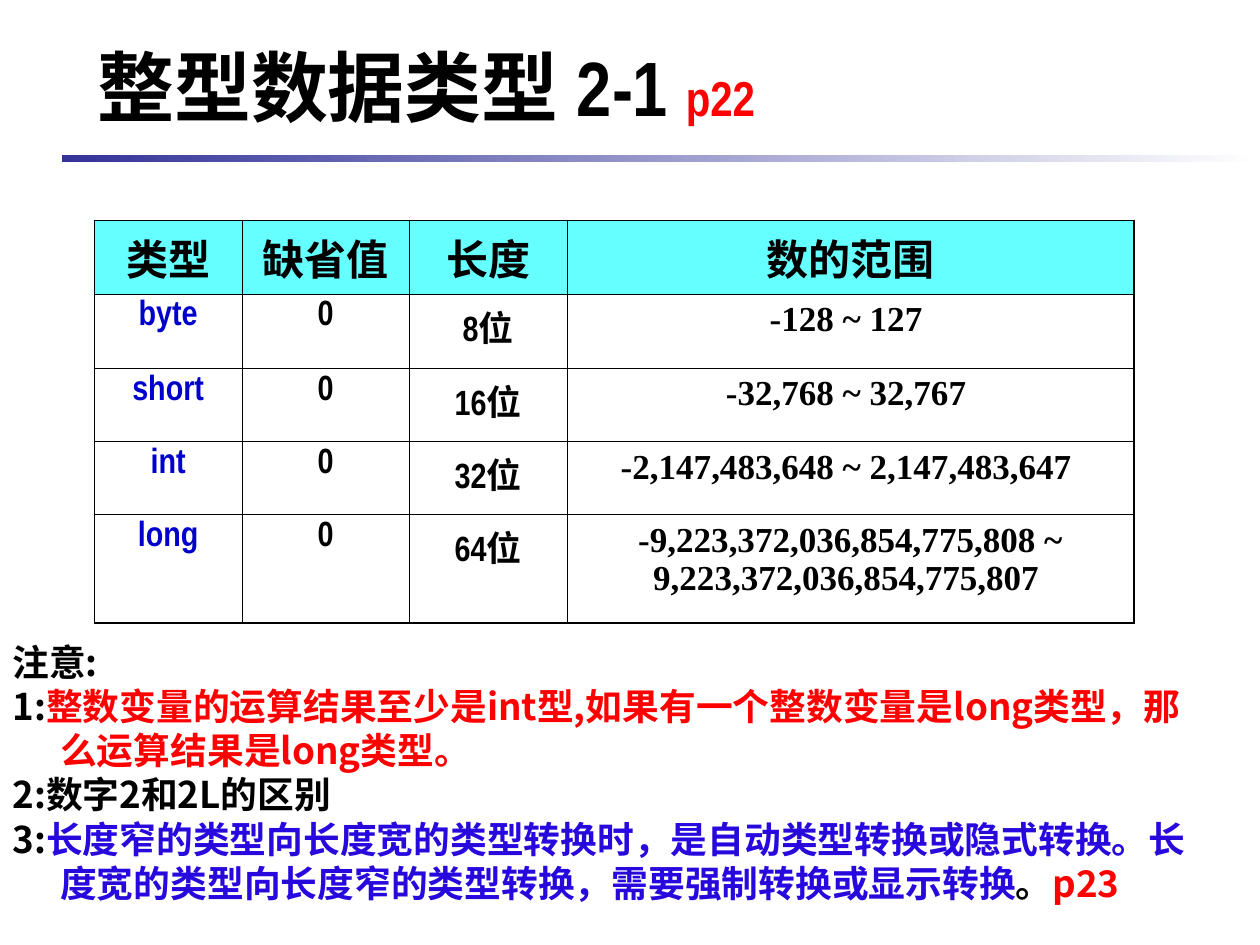
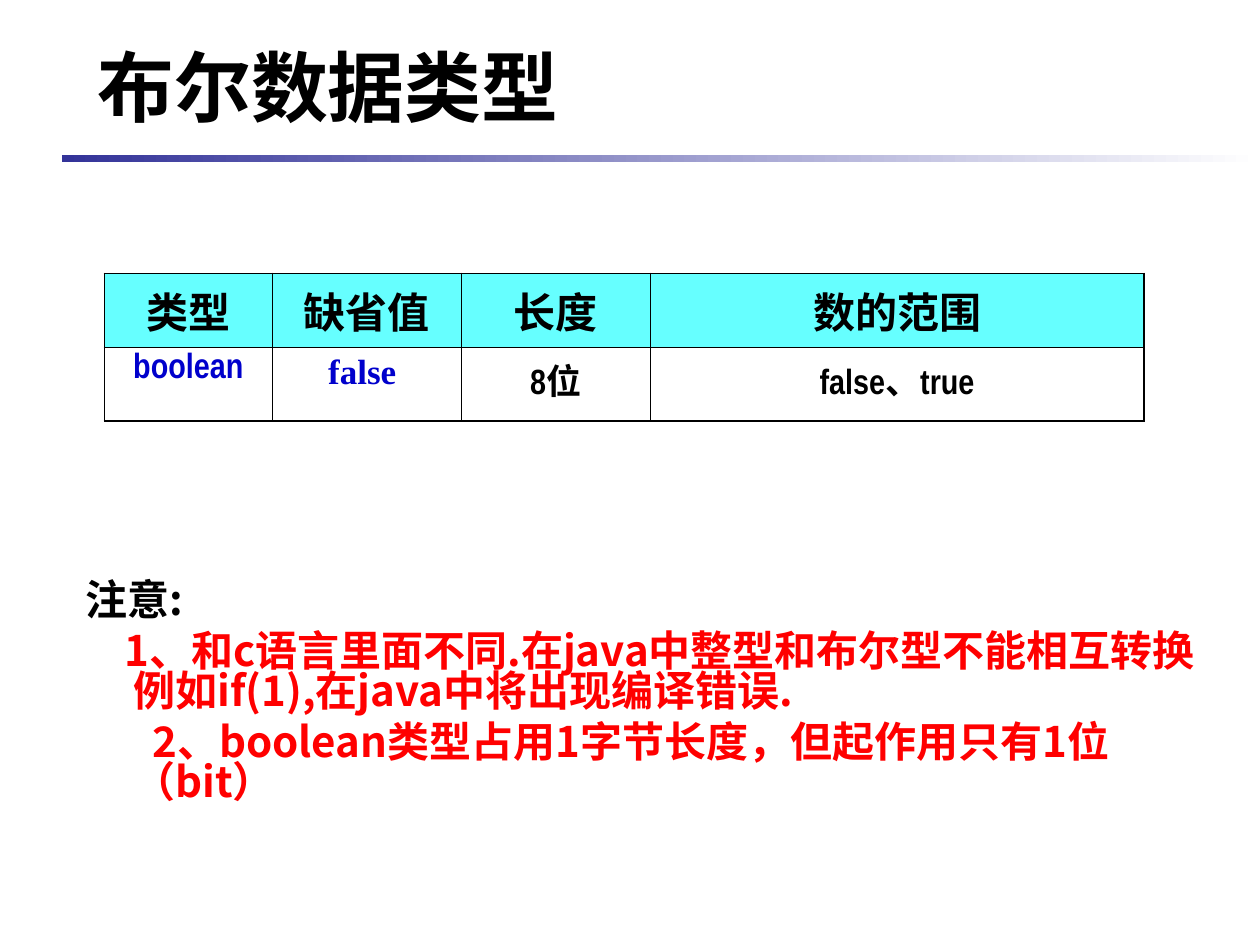
from lxml import etree
from pptx import Presentation
from pptx.dml.color import RGBColor
from pptx.enum.shapes import MSO_SHAPE
from pptx.enum.text import MSO_ANCHOR, MSO_AUTO_SIZE, PP_ALIGN
from pptx.oxml.ns import qn
from pptx.util import Inches, Pt

RECTANGLE = MSO_SHAPE.RECTANGLE
MIDDLE = MSO_ANCHOR.MIDDLE
LEFT, CENTER = PP_ALIGN.LEFT, PP_ALIGN.CENTER
NO_AUTOFIT = MSO_AUTO_SIZE.NONE

NARROW, SERIF, CJK = "Arial Narrow", "Times New Roman", "Noto Sans CJK SC"
BLACK, WHITE, RED = "000000", "FFFFFF", "FF0000"
NAVY, KEYWORD_BLUE, NOTE_BLUE, HEADER_CYAN = "333399", "0000CC", "2709DD", "66FFFF"
TITLE_ONLY = 5
INNER_LINE, OUTER_LINE = 0.45, 1.08
TABLE_HEADER = ["类型", "缺省值", "长度", "数的范围"]


def color(value):
    """Turn a hex string into a colour."""
    return RGBColor.from_string(value)


def add_span(para, text, size=20, font=NARROW, ink=BLACK):
    """Append bold text with the given format to a paragraph."""
    span = para.add_run()
    span.text = text
    span.font.size = Pt(size)
    span.font.bold = True
    span.font.name = font
    span.font.color.rgb = color(ink)
    east_asian = etree.SubElement(span._r.get_or_add_rPr(), qn("a:ea"))
    east_asian.set("typeface", CJK)


def add_page(deck, title_width, *title_spans):
    """Add a slide with its title and the fading band below it."""
    page = deck.slides.add_slide(deck.slide_layouts[TITLE_ONLY])
    title = page.shapes.title
    title.left, title.top = Inches(0.67), Inches(0.21)
    title.width, title.height = Inches(title_width), Inches(0.94)
    frame = title.text_frame
    frame.auto_size = NO_AUTOFIT
    frame.vertical_anchor = MIDDLE
    para = frame.paragraphs[0]
    para.alignment = LEFT
    for text, size, ink in title_spans:
        add_span(para, text, size=size, ink=ink)

    band = page.shapes.add_shape(
        RECTANGLE, Inches(0.49), Inches(1.23), Inches(9.51), Inches(0.06))
    band.shadow.inherit = False
    band.line.fill.background()
    band.fill.gradient()
    band.fill.gradient_angle = 0
    for stop, position, shade in zip(band.fill.gradient_stops, (0, 1), (NAVY, WHITE)):
        stop.position = position
        stop.color.rgb = color(shade)
    return page


def set_borders(cell, widths):
    """Draw the left, right, top and bottom borders of a cell."""
    properties = cell._tc.get_or_add_tcPr()
    for index, (side, width) in enumerate(zip("LRTB", widths)):
        line = etree.Element(qn(f"a:ln{side}"), w=str(Pt(width)))
        fill = etree.SubElement(line, qn("a:solidFill"))
        etree.SubElement(fill, qn("a:srgbClr"), val=BLACK)
        properties.insert(index, line)


def fill_cell(cell, text, is_header=False, **text_format):
    """Write centred text in a cell and set its background."""
    if is_header:
        cell.fill.solid()
        cell.fill.fore_color.rgb = color(HEADER_CYAN)
    else:
        cell.fill.background()
    para = cell.text_frame.paragraphs[0]
    para.alignment = CENTER
    para.space_before = Pt(6 if is_header else 5)
    add_span(para, text, size=24 if is_header else 20, **text_format)


def add_type_table(page, left, top, widths, heights, rows, formats):
    """Add a table of data types with one text format per body column."""
    table = page.shapes.add_table(
        len(heights), len(widths), Inches(left), Inches(top),
        Inches(sum(widths)), Inches(sum(heights))).table
    table.horz_banding = False
    for column, width in zip(table.columns, widths):
        column.width = Inches(width)
    for row, height in zip(table.rows, heights):
        row.height = Inches(height)
    last_row, last_column = len(heights) - 1, len(widths) - 1
    for r, texts in enumerate([TABLE_HEADER] + rows):
        for c, text in enumerate(texts):
            cell = table.cell(r, c)
            fill_cell(cell, text, is_header=r == 0, **(formats[c] if r else {}))
            on_edge = (c == 0, c == last_column, r == 0, r == last_row)
            set_borders(cell, [OUTER_LINE if edge else INNER_LINE for edge in on_edge])


def add_notes_box(page, left, top, width, height, size, notes,
                  line_spacing=None, space_before=0):
    """Add a text box of notes, each a first-line indent and its spans."""
    box = page.shapes.add_textbox(
        Inches(left), Inches(top), Inches(width), Inches(height))
    frame = box.text_frame
    frame.word_wrap = True
    for index, (indent, spans) in enumerate(notes):
        para = frame.add_paragraph() if index else frame.paragraphs[0]
        para.line_spacing = line_spacing
        para.space_before = Pt(space_before)
        properties = para._p.get_or_add_pPr()
        properties.set("marL", str(Inches(0.38)))
        properties.set("indent", str(Inches(indent)))
        for text, ink in spans:
            add_span(para, text, size=size, font=CJK, ink=ink)


def add_integer_page(deck):
    """Build the slide on integer types."""
    page = add_page(deck, 8.11, ("整型数据类型 2-1 ", 44, BLACK), ("p22", 28, RED))
    rows = [
        ["byte", "0", "8位", "-128 ~ 127 "],
        ["short", "0", "16位", "-32,768 ~ 32,767 "],
        ["int", "0", "32位", "-2,147,483,648 ~ 2,147,483,647 "],
        ["long", "0", "64位", "-9,223,372,036,854,775,808 ~ 9,223,372,036,854,775,807 "],
    ]
    add_type_table(page, 0.75, 1.75, [1.17, 1.33, 1.25, 4.5],
                   [0.58, 0.59, 0.58, 0.58, 0.86], rows,
                   [{"ink": KEYWORD_BLUE}, {}, {}, {"font": SERIF}])
    hanging = -0.38
    add_notes_box(page, 0, 5.03, 9.75, 2.2, 21, [
        (hanging, [("注意:", BLACK)]),
        (hanging, [("1:", BLACK),
                   ("整数变量的运算结果至少是int型,如果有一个整数变量是long类型，"
                    "那么运算结果是long类型。", RED)]),
        (hanging, [("2:数字2和2L的区别", BLACK)]),
        (hanging, [("3:", BLACK),
                   ("长度窄的类型向长度宽的类型转换时，是自动类型转换或隐式转换。"
                    "长度宽的类型向长度窄的类型转换，需要强制转换或显示转换", NOTE_BLUE),
                   ("。", BLACK), ("p23", RED)]),
    ])


def add_boolean_page(deck):
    """Build the slide on the boolean type."""
    page = add_page(deck, 8.58, ("布尔数据类型", 44, BLACK))
    add_type_table(page, 0.83, 2.17, [1.33, 1.5, 1.5, 3.92], [0.58, 0.59],
                   [["boolean", "false ", "8位", "false、true"]],
                   [{"ink": KEYWORD_BLUE}, {"ink": KEYWORD_BLUE, "font": SERIF}, {}, {}])
    add_notes_box(page, 0.58, 4.58, 9.08, 2.27, 24, [
        (-0.38, [("注意:", BLACK)]),
        (-0.07, [("1、和c语言里面不同.在java中整型和布尔型不能相互转换"
                  "例如if(1),在java中将出现编译错误.", RED)]),
        (0.15, [("2、boolean类型占用1字节长度，但起作用只有1位（bit）", RED)]),
    ], line_spacing=0.8, space_before=6)


def main():
    """Build and save the deck."""
    deck = Presentation()
    deck.slide_width, deck.slide_height = Inches(10), Inches(7.5)
    add_integer_page(deck)
    add_boolean_page(deck)
    deck.save("out.pptx")


if __name__ == "__main__":
    main()
